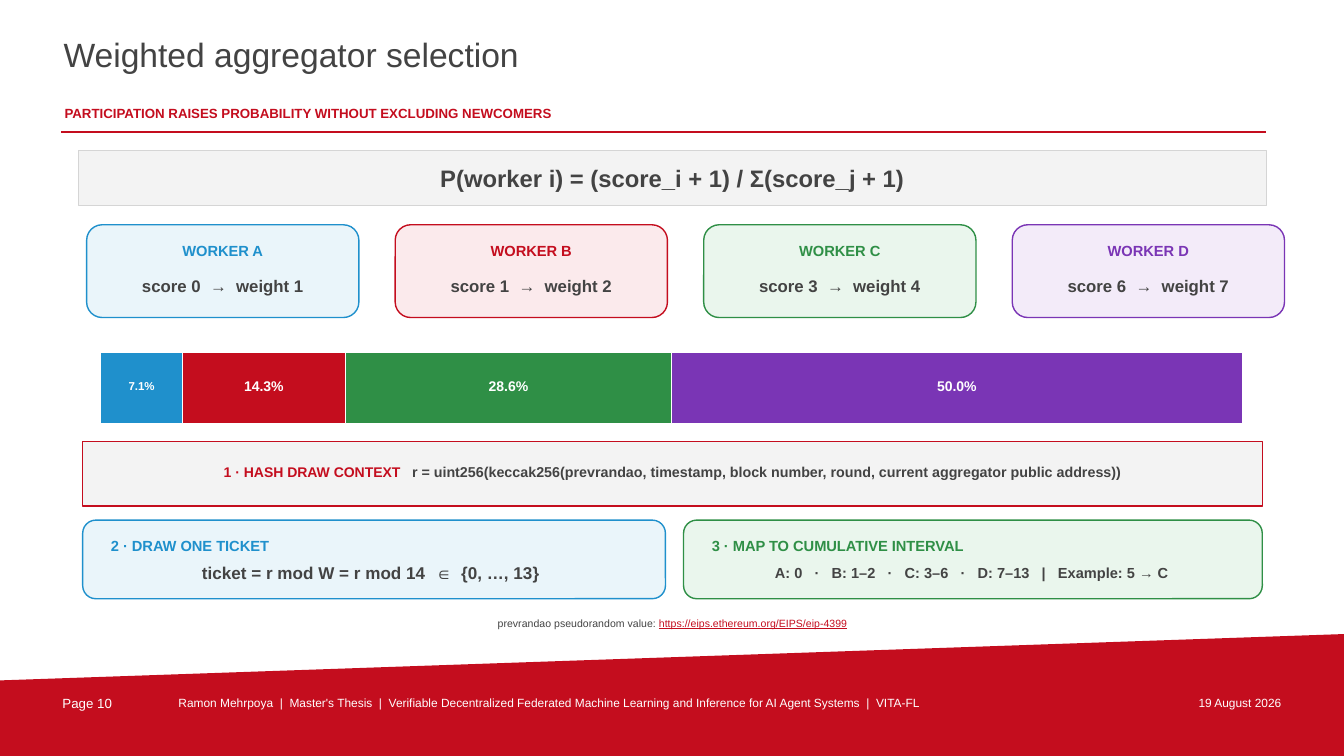
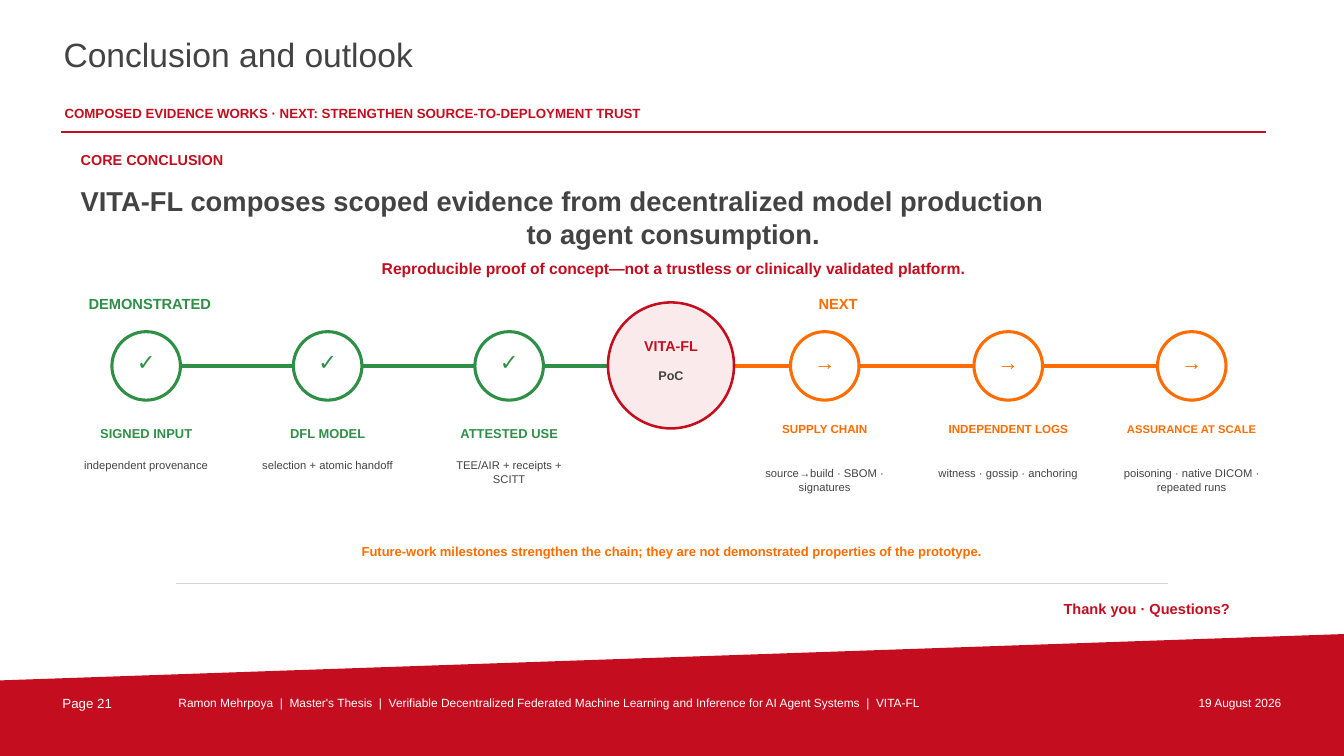
from lxml.etree import SubElement
from pptx import Presentation
from pptx.dml.color import RGBColor
from pptx.enum.shapes import MSO_CONNECTOR, MSO_SHAPE
from pptx.enum.text import MSO_ANCHOR, MSO_AUTO_SIZE, PP_ALIGN
from pptx.oxml.ns import qn
from pptx.util import Inches, Pt

FONT = "Arial"
WHITE, TEXT, GREY, PALE_GREY = "FFFFFF", "434343", "D5D5D5", "F3F3F3"
RED, BLUE, GREEN, PURPLE, ORANGE = "C40D1E", "1F90CC", "2F8F46", "7A35B5", "FF6C00"
TINTS = {RED: "FBEAEC", BLUE: "EAF5FA", GREEN: "EAF6ED", PURPLE: "F3EBF9"}
SLIDE_WIDTH, SLIDE_HEIGHT = 13.33, 7.5
LEFT, CENTER, RIGHT = PP_ALIGN.LEFT, PP_ALIGN.CENTER, PP_ALIGN.RIGHT
TOP, MIDDLE = MSO_ANCHOR.TOP, MSO_ANCHOR.MIDDLE
FOOTER = (
    "Ramon Mehrpoya  |  Master's Thesis  |  Verifiable Decentralized Federated "
    "Machine Learning and Inference for AI Agent Systems  |  VITA-FL"
)


def color(value):
    """Turn a hex string into a colour."""
    return RGBColor.from_string(value)


def style_run(run, size, fill, bold):
    """Format one run."""
    run.font.name = FONT
    run.font.size = Pt(size)
    run.font.bold = bold
    run.font.color.rgb = color(fill)


def write(shape, text, size, fill, bold=True, align=CENTER, anchor=MIDDLE, inset=0.02, lift=0):
    """Put text into a shape and return its paragraphs."""
    frame = shape.text_frame
    frame.text = text
    frame.word_wrap = True
    frame.auto_size = MSO_AUTO_SIZE.NONE
    frame.vertical_anchor = anchor
    frame.margin_left = frame.margin_right = frame.margin_top = Inches(inset)
    frame.margin_bottom = Inches(inset + lift)
    for paragraph in frame.paragraphs:
        paragraph.alignment = align
        for run in paragraph.runs:
            style_run(run, size, fill, bold)
    return frame.paragraphs


def append_run(paragraph, text, size, fill, bold):
    """Add a differently formatted run to a paragraph."""
    run = paragraph.add_run()
    run.text = text
    style_run(run, size, fill, bold)
    return run


def add_text(slide, box, text, size, fill, bold=True, align=CENTER, anchor=TOP):
    """Add a text box and return its paragraphs."""
    shape = slide.shapes.add_textbox(*map(Inches, box))
    return write(shape, text, size, fill, bold, align, anchor)


def add_box(slide, kind, box, fill, line, line_width=1):
    """Add a filled and outlined preset shape."""
    shape = slide.shapes.add_shape(kind, *map(Inches, box))
    shape.shadow.inherit = False
    shape.fill.solid()
    shape.fill.fore_color.rgb = color(fill)
    shape.line.color.rgb = color(line)
    shape.line.width = Pt(line_width)
    return shape


def add_line(slide, start, end, y, fill, width):
    """Add a horizontal line."""
    line = slide.shapes.add_connector(
        MSO_CONNECTOR.STRAIGHT, Inches(start), Inches(y), Inches(end), Inches(y)
    )
    line.line.color.rgb = color(fill)
    line.line.width = Pt(width)
    SubElement(line.element.spPr, qn("a:effectLst"))
    return line


def add_band(slide):
    """Add the slanted footer band."""
    builder = slide.shapes.build_freeform(0, Inches(6.75))
    corners = [(SLIDE_WIDTH, 6.29), (SLIDE_WIDTH, SLIDE_HEIGHT), (0, SLIDE_HEIGHT)]
    builder.add_line_segments([(Inches(x), Inches(y)) for x, y in corners], close=True)
    band = builder.convert_to_shape()
    band.shadow.inherit = False
    band.fill.solid()
    band.fill.fore_color.rgb = color(RED)
    band.line.fill.background()


def prepare_layout(layout, slide):
    """Place the title and move the shared elements from a slide to the layout."""
    for placeholder in list(layout.placeholders):
        if placeholder.placeholder_format.idx:
            placeholder.element.getparent().remove(placeholder.element)
    title = layout.placeholders[0]
    title.left, title.top = Inches(0.61), Inches(0.32)
    title.width, title.height = Inches(9.65), Inches(0.62)
    add_band(slide)
    add_line(slide, 0.61, 12.56, 1.31, RED, 1.5)
    add_text(slide, (1.75, 6.88, 9.35, 0.22), FOOTER, 8.5, WHITE, False, LEFT)
    add_text(slide, (11.2, 6.88, 1.53, 0.22), "19 August 2026", 8.5, WHITE, False, RIGHT)
    for shape in list(slide.shapes):
        if not shape.is_placeholder:
            layout.shapes.element.append(shape.element)


def add_heading(slide, title, subtitle, page):
    """Fill in the title, subtitle and page number."""
    write(slide.shapes.title, title, 24, TEXT, False, LEFT, TOP)
    add_text(slide, (0.62, 1.02, 9.7, 0.22), subtitle, 9.5, RED, align=LEFT)
    add_text(slide, (0.6, 6.88, 1, 0.22), f"Page {page}", 9.5, WHITE, False, LEFT)


def add_worker(slide, left, name, weight, accent):
    """Add a worker card with its score and weight."""
    add_box(slide, MSO_SHAPE.ROUNDED_RECTANGLE, (left, 2.23, 2.7, 0.92), TINTS[accent], accent)
    add_text(slide, (left + 0.12, 2.38, 2.46, 0.2), f"WORKER {name}", 10.5, accent)
    score = f"score {weight - 1}  →  weight {weight}"
    add_text(slide, (left + 0.12, 2.72, 2.46, 0.23), score, 12, TEXT, anchor=MIDDLE)


def add_draw_step(slide, left, width, heading, detail, size, accent):
    """Add a numbered step of the draw."""
    add_box(slide, MSO_SHAPE.ROUNDED_RECTANGLE, (left, 5.16, width, 0.78), TINTS[accent], accent)
    add_text(slide, (left + 0.26, 5.31, 3.2, 0.2), heading, 10.5, accent, align=LEFT)
    add_text(slide, (left + 0.26, 5.57, 5.2, 0.22), detail, size, TEXT, anchor=MIDDLE)


def add_milestone(slide, center, symbol, symbol_size, label, label_size, label_top,
                  detail, detail_top, text_width, accent):
    """Add a timeline circle with its label and detail."""
    circle = add_box(slide, MSO_SHAPE.OVAL, (center - 0.34, 3.29, 0.68, 0.68), WHITE, accent, 2.2)
    write(circle, symbol, symbol_size, accent, inset=0, lift=0.08)
    left = center - text_width / 2
    add_text(slide, (left, label_top, text_width, 0.25), label, label_size, accent)
    add_text(slide, (left, detail_top, text_width, 0.5), detail, 8, TEXT, False)


def build_selection(slide):
    """Build the slide on weighted selection."""
    add_heading(slide, "Weighted aggregator selection",
                "PARTICIPATION RAISES PROBABILITY WITHOUT EXCLUDING NEWCOMERS", 10)
    formula = add_box(slide, MSO_SHAPE.RECTANGLE, (0.78, 1.49, 11.78, 0.55), PALE_GREY, GREY)
    write(formula, "P(worker i) = (score_i + 1) / Σ(score_j + 1)", 17, TEXT)

    workers = [("A", 1, BLUE), ("B", 2, RED), ("C", 4, GREEN), ("D", 7, PURPLE)]
    total = sum(weight for _, weight, _ in workers)
    bar_left = 1
    for index, (name, weight, accent) in enumerate(workers):
        add_worker(slide, 0.86 + 3.06 * index, name, weight, accent)
        share = weight / total
        width = 11.32 * share
        bar = add_box(slide, MSO_SHAPE.RECTANGLE, (bar_left, 3.5, width, 0.7), accent, WHITE, 0.7)
        write(bar, f"{share:.1%}", 10 if share > 0.1 else 8.2, WHITE, inset=0, lift=0.04)
        bar_left += width

    draw = add_box(slide, MSO_SHAPE.RECTANGLE, (0.82, 4.38, 11.7, 0.64), PALE_GREY, RED)
    paragraph = write(draw, "1 · HASH DRAW CONTEXT   ", 10, RED, lift=0.04)[0]
    append_run(paragraph, "r = uint256(keccak256(prevrandao, timestamp, block number, round, "
               "current aggregator public address))", 10.2, TEXT, True)
    add_draw_step(slide, 0.82, 5.78, "2 · DRAW ONE TICKET",
                  "ticket = r mod W = r mod 14  ∈  {0, …, 13}", 12.2, BLUE)
    add_draw_step(slide, 6.78, 5.74, "3 · MAP TO CUMULATIVE INTERVAL",
                  "A: 0   ·   B: 1–2   ·   C: 3–6   ·   D: 7–13   |   Example: 5 → C", 10.4, GREEN)

    source = add_text(slide, (0.9, 6.1, 11.54, 0.16), "prevrandao pseudorandom value: ",
                      7.5, TEXT, False, anchor=MIDDLE)[0]
    address = append_run(source, "https://eips.ethereum.org/EIPS/eip-4399", 7.5, RED, False)
    address.font.underline = True


def build_conclusion(slide):
    """Build the closing slide."""
    add_heading(slide, "Conclusion and outlook",
                "COMPOSED EVIDENCE WORKS · NEXT: STRENGTHEN SOURCE-TO-DEPLOYMENT TRUST", 21)
    add_text(slide, (0.78, 1.48, 2.1, 0.24), "CORE CONCLUSION", 10.3, RED, align=LEFT)
    statement = add_text(
        slide, (0.78, 1.76, 11.8, 0.78),
        "VITA-FL composes scoped evidence from decentralized model production\n"
        "to agent consumption.", 19.5, TEXT, anchor=MIDDLE)
    statement[0].alignment = LEFT
    add_text(slide, (1.32, 2.55, 10.72, 0.28),
             "Reproducible proof of concept—not a trustless or clinically validated platform.",
             11.2, RED)
    add_text(slide, (0.86, 2.91, 2.12, 0.24), "DEMONSTRATED", 10.5, GREEN, align=LEFT)
    add_text(slide, (8.1, 2.91, 1.22, 0.24), "NEXT", 10.5, ORANGE, align=LEFT)

    add_line(slide, 1.22, 6.05, 3.63, GREEN, 3)
    add_line(slide, 7.27, 12.05, 3.63, ORANGE, 3)
    demonstrated = [
        ("SIGNED INPUT", "independent provenance"),
        ("DFL MODEL", "selection + atomic handoff"),
        ("ATTESTED USE", "TEE/AIR + receipts + SCITT"),
    ]
    for index, (label, detail) in enumerate(demonstrated):
        add_milestone(slide, 1.45 + 1.8 * index, "✓", 16, label, 9.2, 4.2,
                      detail, 4.53, 1.44, GREEN)
    planned = [
        ("SUPPLY CHAIN", 8.3, "source→build · SBOM · signatures"),
        ("INDEPENDENT LOGS", 8.3, "witness · gossip · anchoring"),
        ("ASSURANCE AT SCALE", 8, "poisoning · native DICOM · repeated runs"),
    ]
    for index, (label, size, detail) in enumerate(planned):
        add_milestone(slide, 8.18 + 1.82 * index, "→", 15, label, size, 4.17,
                      detail, 4.61, 1.54, ORANGE)

    hub = add_box(slide, MSO_SHAPE.OVAL, (6.03, 3, 1.25, 1.25), TINTS[RED], RED, 1.8)
    name, stage = write(hub, "VITA-FL\nPoC", 10.2, RED, lift=0.1)
    stage.space_before = Pt(9.5)
    style_run(stage.runs[0], 9, TEXT, True)

    add_text(slide, (1.1, 5.37, 11.12, 0.24),
             "Future-work milestones strengthen the chain; they are not demonstrated "
             "properties of the prototype.", 9.3, ORANGE)
    add_line(slide, 1.75, 11.58, 5.79, GREY, 0.75)
    add_text(slide, (9.92, 5.93, 2.3, 0.22), "Thank you · Questions?", 10.4, RED, align=RIGHT)


def main():
    """Build and save the presentation."""
    presentation = Presentation()
    presentation.slide_width = Inches(SLIDE_WIDTH)
    presentation.slide_height = Inches(SLIDE_HEIGHT)
    layout = presentation.slide_layouts[5]
    selection, conclusion = [presentation.slides.add_slide(layout) for _ in range(2)]
    prepare_layout(layout, selection)
    build_selection(selection)
    build_conclusion(conclusion)
    presentation.save("out.pptx")


if __name__ == "__main__":
    main()
